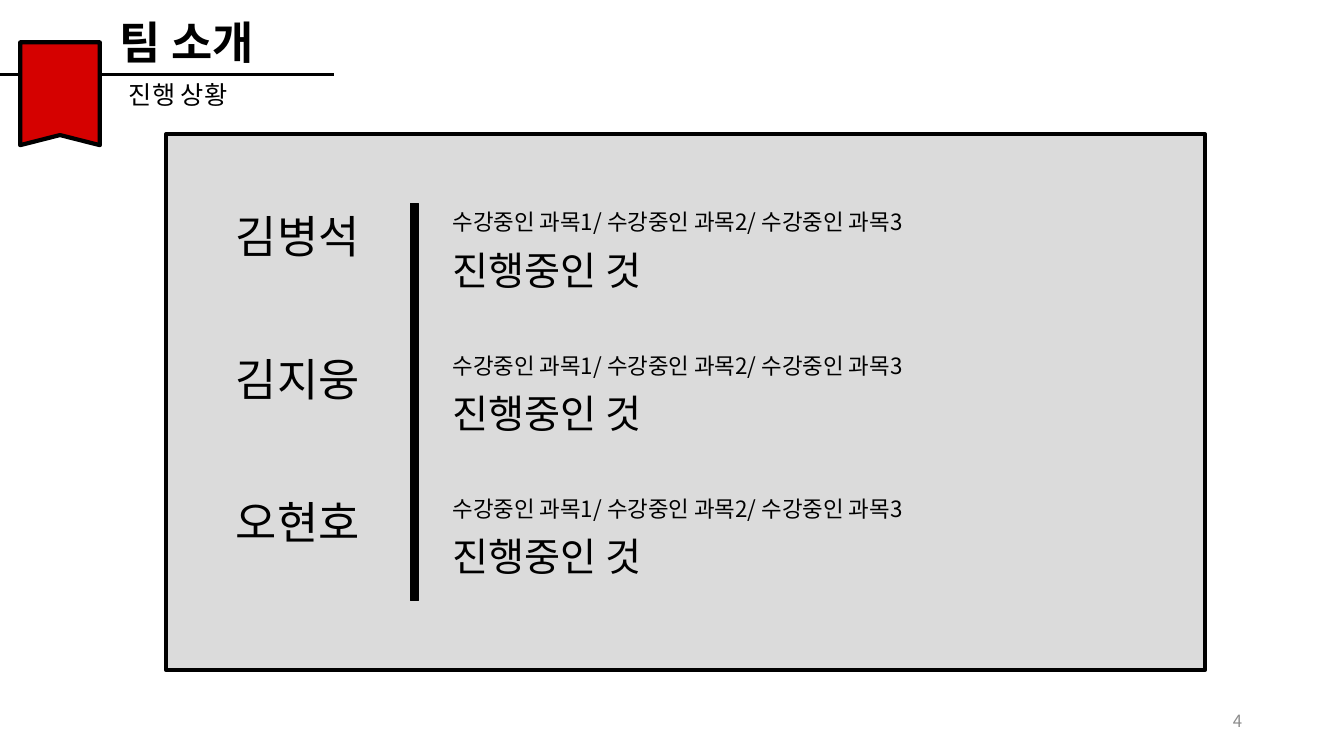
from lxml import etree
from pptx import Presentation
from pptx.dml.color import RGBColor
from pptx.enum import shapes, text
from pptx.oxml import ns
from pptx.util import Inches, Pt

HUES = {"ink": "000000", "panel": "DBDBDB", "red": "D50100", "page": "8C8C8C"}
FONT = "Noto Sans CJK KR"
TEAM = ["김병석", "김지웅", "오현호"]
COURSES = "수강중인 과목1/ 수강중인 과목2/ 수강중인 과목3"
STATUS = "진행중인 것"


def hue(name):
    """Return the named colour."""
    return RGBColor.from_string(HUES[name])


def write(shape, words, size, color="ink", bold=False,
          align=text.PP_ALIGN.LEFT, anchor=text.MSO_ANCHOR.TOP):
    """Put one formatted run of text in a shape."""
    frame = shape.text_frame
    frame.word_wrap = True
    frame.auto_size = text.MSO_AUTO_SIZE.NONE
    frame.vertical_anchor = anchor
    para = frame.paragraphs[0]
    para.alignment = align
    run = para.add_run()
    run.text = words
    font = run.font
    font.name, font.size, font.bold = FONT, Pt(size), bold
    font.color.rgb = hue(color)
    east = etree.SubElement(run._r.get_or_add_rPr(), ns.qn("a:ea"))
    east.set("typeface", FONT)


def label(slide, x, y, w, h, words, size, **style):
    """Add a text box."""
    box = slide.shapes.add_textbox(Inches(x), Inches(y), Inches(w), Inches(h))
    write(box, words, size, **style)


def paint(shape, fill, width):
    """Give a shape its fill and a black outline."""
    shape.shadow.inherit = False
    shape.fill.solid()
    shape.fill.fore_color.rgb = hue(fill)
    shape.line.color.rgb = hue("ink")
    shape.line.width = Pt(width)


def block(slide, x, y, w, h, fill, width):
    """Add an outlined rectangle."""
    rect = slide.shapes.add_shape(shapes.MSO_SHAPE.RECTANGLE,
                                  Inches(x), Inches(y), Inches(w), Inches(h))
    paint(rect, fill, width)


def ribbon(slide, x, y, w, h):
    """Draw the red bookmark with its notched foot."""
    notch = 0.1
    pen = slide.shapes.build_freeform(Inches(x), Inches(y), scale=1.0)
    points = [(x + w, y), (x + w, y + h), (x + w / 2, y + h - notch), (x, y + h)]
    pen.add_line_segments([(Inches(a), Inches(b)) for a, b in points], close=True)
    paint(pen.convert_to_shape(), "red", 3)


def header(slide, x, y, w):
    """Build the title, rule, ribbon and subtitle."""
    mid = y + 0.74
    rule = slide.shapes.add_connector(shapes.MSO_CONNECTOR.STRAIGHT, Inches(x),
                                      Inches(mid), Inches(x + w), Inches(mid))
    rule.line.color.rgb = hue("ink")
    rule.line.width = Pt(2.5)
    etree.SubElement(rule._element.spPr, ns.qn("a:effectLst"))
    ribbon(slide, x + 0.2, y + 0.42, 0.79, 1.02)
    title = slide.shapes.title
    title.left, title.top = Inches(x + 1.09), Inches(y + 0.1)
    title.width, title.height = Inches(2.31), Inches(0.64)
    write(title, "팀 소개", 32, bold=True)
    label(slide, x + 1.18, mid, 1.44, 0.4, "진행 상황", 18)


def panel(slide, x, y, w, h):
    """Build the grey panel with one row for each member."""
    block(slide, x, y, w, h, "panel", 3)
    top, step = y + 0.69, 1.42
    block(slide, x + 2.42, top, 0.08, 3.94, "ink", 1)
    for i, name in enumerate(TEAM):
        row = top + i * step
        label(slide, x + 0.59, row, 1.58, 0.64, name, 32)
        label(slide, x + 2.74, row, 5.31, 0.37, COURSES, 16)
        label(slide, x + 2.74, row + 0.37, 2.56, 0.57, STATUS, 28)


def main():
    """Build and save the slide."""
    deck = Presentation()
    deck.slide_width, deck.slide_height = Inches(13.33), Inches(7.5)
    slide = deck.slides.add_slide(deck.slide_layouts.get_by_name("Title Only"))
    panel(slide, 1.65, 1.33, 10.3, 5.32)
    label(slide, 9.42, 6.95, 3, 0.4, "4", 12, color="page",
          align=text.PP_ALIGN.RIGHT, anchor=text.MSO_ANCHOR.MIDDLE)
    header(slide, 0, 0, 3.31)
    deck.save("out.pptx")


if __name__ == "__main__":
    main()
